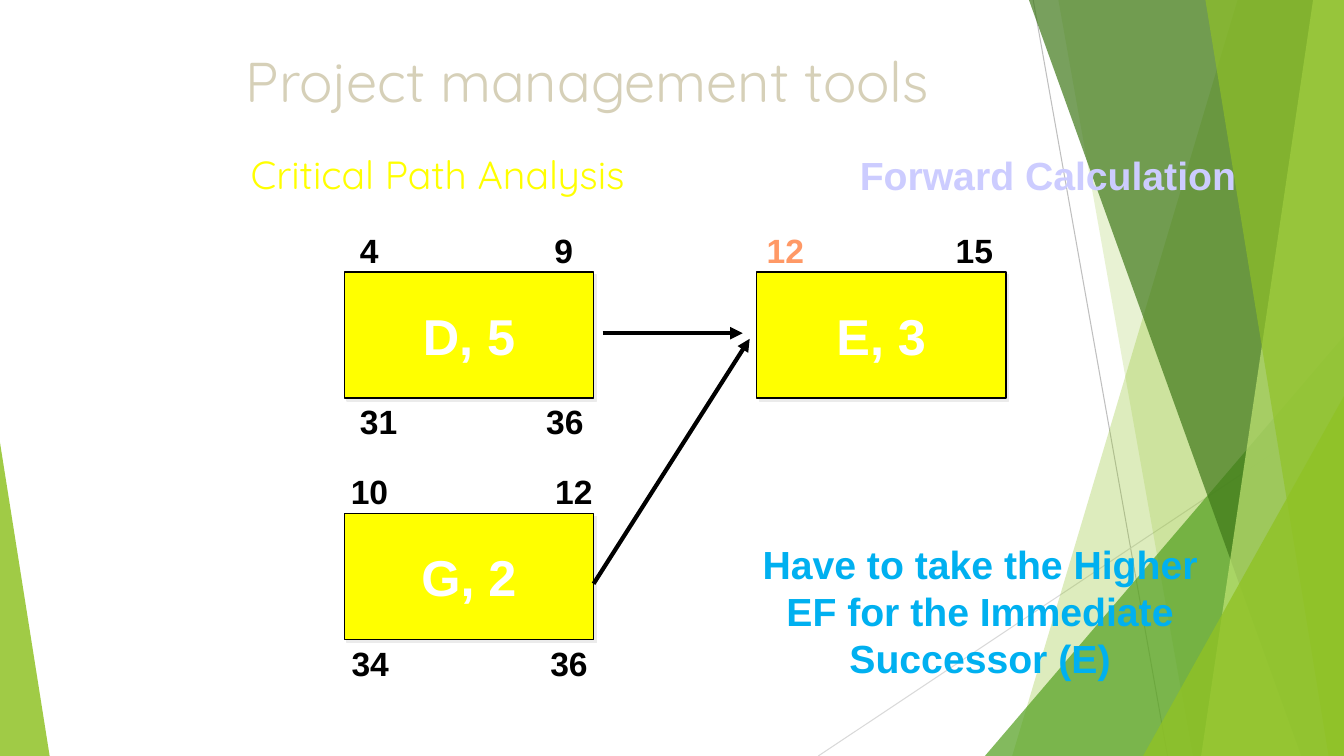
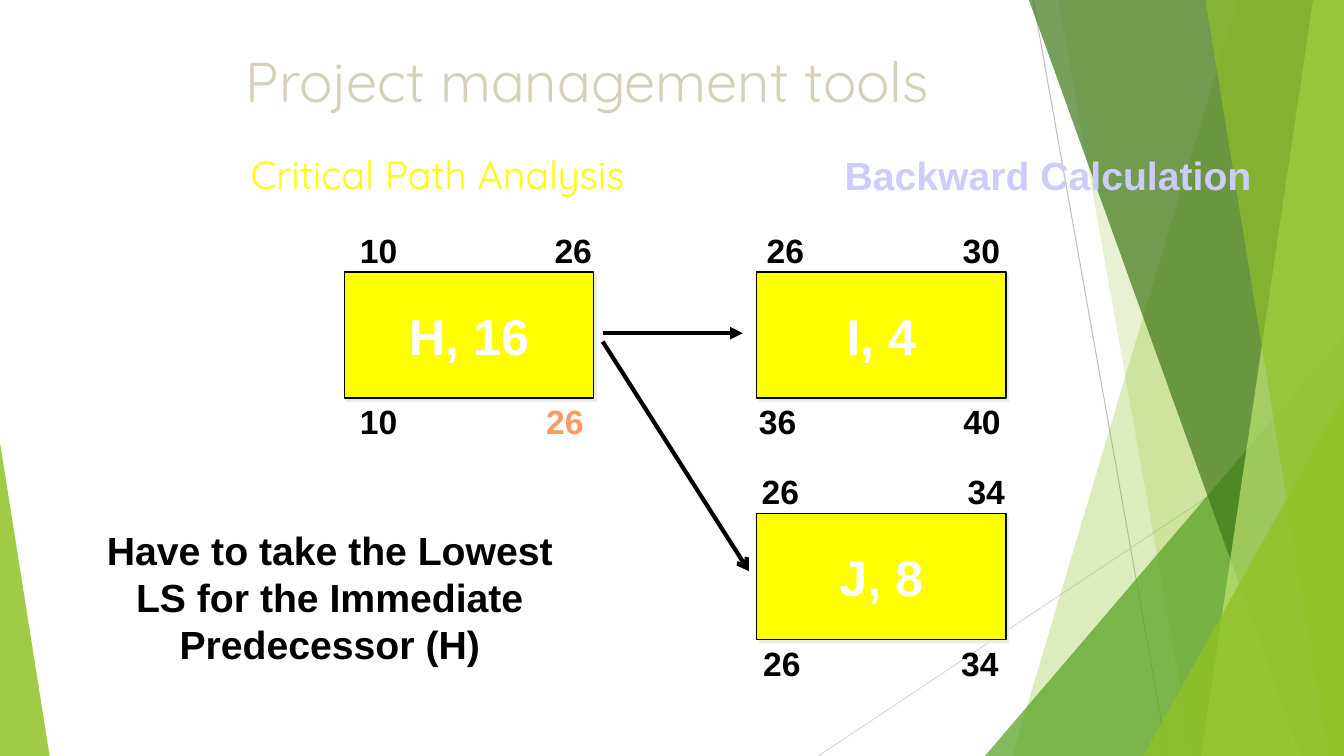
from lxml import etree
from pptx import Presentation
from pptx.dml.color import RGBColor
from pptx.enum import shapes as es, text as et
from pptx.oxml.ns import qn
from pptx.util import Pt

LEFT, RIGHT, UPPER, LOWER = 246, 540.5, 194.4, 367


def hue(code):
    return RGBColor.from_string(code)


class Deck:
    """Holds the shared style and the slide being drawn."""

    wide, high = 960, 540
    head, body = "Quicksand", "Arial"
    ink, mark, box, pale = "000000", "FF9966", "FFFF00", "EBEBEB"
    lime, leaf, moss, mint = "90C226", "54A021", "3F7819", "C0E474"

    def __init__(self):
        self.prs = Presentation()
        self.prs.slide_width, self.prs.slide_height = Pt(self.wide), Pt(self.high)
        self.blank = self.prs.slide_layouts[6]
        self.slide = None

    def backdrop(self):
        self.slide = self.prs.slides.add_slide(self.blank)
        self.line(738, 0, 834, 540, "BFBFBF", 0.75)
        self.line(960, 290, 584.5, 540, "D9D9D9", 0.75)
        self.band(884, 723, self.lime, 30)
        self.band(756, 852, self.lime, 20)
        self.wedge(703.5, 240, 256.5, 1, self.leaf, 72)
        self.band(735, 929.5, self.moss, 70)
        self.band(938, 858, self.mint, 70)
        self.band(861, 949, self.lime, 65)
        self.wedge(816.5, 283, 143.5, 1, self.lime, 80)
        self.wedge(0, 316, 35.5, 0, self.lime, 85)
        tree = self.blank.shapes.element
        for spot in list(self.blank.placeholders):
            tree.remove(spot.element)
        for part in list(self.slide.shapes):
            tree.append(part.element)

    def page(self, topic, fresh=True):
        if fresh:
            self.slide = self.prs.slides.add_slide(self.blank)
        title = self.label("Project management tools", 168.5, 7, 749, 100,
                           40, "D6D0B8", self.head)
        title.text_frame.auto_size = et.MSO_AUTO_SIZE.NONE
        title.text_frame.vertical_anchor = et.MSO_ANCHOR.MIDDLE
        self.label("Critical Path Analysis", 172, 103.7, 480, 41,
                   28, self.box, self.head)
        self.note(topic, 579, 104.4, 41, "CCCCFF")

    def tint(self, shape, color, alpha):
        shape.shadow.inherit = False
        shape.fill.solid()
        shape.fill.fore_color.rgb = hue(color)
        node = shape.element.spPr.find(".//" + qn("a:srgbClr"))
        etree.SubElement(node, qn("a:alpha"), val=str(alpha * 1000))
        shape.line.fill.background()

    def band(self, top, foot, color, alpha):
        pen = self.slide.shapes.build_freeform(Pt(top), 0)
        spots = [(self.wide, 0), (self.wide, self.high), (foot, self.high)]
        pen.add_line_segments([(Pt(x), Pt(y)) for x, y in spots])
        self.tint(pen.convert_to_shape(), color, alpha)

    def wedge(self, x, y, wide, peak, color, alpha):
        shape = self.slide.shapes.add_shape(
            es.MSO_SHAPE.ISOSCELES_TRIANGLE, Pt(x), Pt(y), Pt(wide), Pt(self.high - y))
        shape.adjustments[0] = peak
        self.tint(shape, color, alpha)

    def line(self, x1, y1, x2, y2, color=ink, width=3, tip=None):
        link = self.slide.shapes.add_connector(
            es.MSO_CONNECTOR.STRAIGHT, Pt(x1), Pt(y1), Pt(x2), Pt(y2))
        link.line.color.rgb = hue(color)
        link.line.width = Pt(width)
        prop = link.element.spPr
        if tip:
            etree.SubElement(prop.find(qn("a:ln")), qn("a:tailEnd"), type=tip)
        etree.SubElement(prop, qn("a:effectLst"))

    def letter(self, shape, words, size, color, font, bold, mid, wrap):
        frame = shape.text_frame
        frame.word_wrap = wrap
        frame.text = words
        para = frame.paragraphs[0]
        para.alignment = et.PP_ALIGN.CENTER if mid else et.PP_ALIGN.LEFT
        face = para.runs[0].font
        face.size, face.name, face.bold = Pt(size), font, bold
        face.color.rgb = hue(color)

    def label(self, words, x, y, wide, high, size, color, font=body,
              bold=False, mid=False, wrap=True):
        area = self.slide.shapes.add_textbox(Pt(x), Pt(y), Pt(wide), Pt(high))
        self.letter(area, words, size, color, font, bold, mid, wrap)
        area.text_frame.auto_size = et.MSO_AUTO_SIZE.SHAPE_TO_FIT_TEXT
        return area

    def note(self, words, x, y, high, color):
        self.label(words, x, y, 339, high, 28, color, bold=True, mid=True)

    def task(self, name, x, y, times, hot=None):
        shape = self.slide.shapes.add_shape(
            es.MSO_SHAPE.RECTANGLE, Pt(x), Pt(y), Pt(178), Pt(90))
        shape.shadow.inherit = False
        shape.fill.solid()
        shape.fill.fore_color.rgb = hue(self.box)
        shape.line.color.rgb = hue(self.ink)
        shape.line.width = Pt(1)
        cast = etree.SubElement(
            shape.element.spPr.find(qn("a:effectLst")), qn("a:outerShdw"),
            dist=str(Pt(2.8)), dir="2700000", algn="ctr", rotWithShape="0")
        etree.SubElement(cast, qn("a:srgbClr"), val=self.pale)
        self.letter(shape, name, 36, "FFFFFF", self.body, True, True, False)
        for spot, (time, shift) in enumerate(times):
            drop = -34 if spot < 2 else 88.5
            self.label(time, x + shift, y + drop, 15 + 13.4 * len(time), 36, 24,
                       self.mark if spot == hot else self.ink, bold=True, wrap=False)


def main():
    deck = Deck()
    deck.backdrop()

    deck.page("Forward Calculation", fresh=False)
    deck.task("D, 5", LEFT, UPPER, [("4", 4), ("9", 143), ("31", 4), ("36", 137)])
    deck.task("E, 3", RIGHT, UPPER, [("12", 0), ("15", 135)], hot=0)
    deck.task("G, 2", LEFT, LOWER, [("10", -2.5), ("12", 143.5), ("34", -2), ("36", 140)])
    deck.line(430.5, 238, 530.5, 238, tip="triangle")
    deck.line(424, 417, 535.5, 242, tip="triangle")
    deck.note("Have to take the Higher EF for the Immediate Successor (E)",
              530.5, 382.5, 109, "00B0F0")

    deck.page("Backward Calculation")
    deck.task("H, 16", LEFT, UPPER, [("10", 4), ("26", 143), ("10", 4), ("26", 137)], hot=3)
    deck.task("I, 4", RIGHT, UPPER, [("26", 0), ("30", 140), ("36", -5.5), ("40", 140.5)])
    deck.task("J, 8", RIGHT, LOWER, [("26", -3.5), ("34", 143.5), ("26", -2.5), ("34", 139)])
    deck.line(430.5, 238, 530.5, 238, tip="triangle")
    deck.line(430.5, 244, 535, 408, tip="arrow")
    deck.note("Have to take the Lowest LS for the Immediate Predecessor (H)",
              66, 372.5, 109, deck.ink)

    deck.prs.save("out.pptx")


if __name__ == "__main__":
    main()
